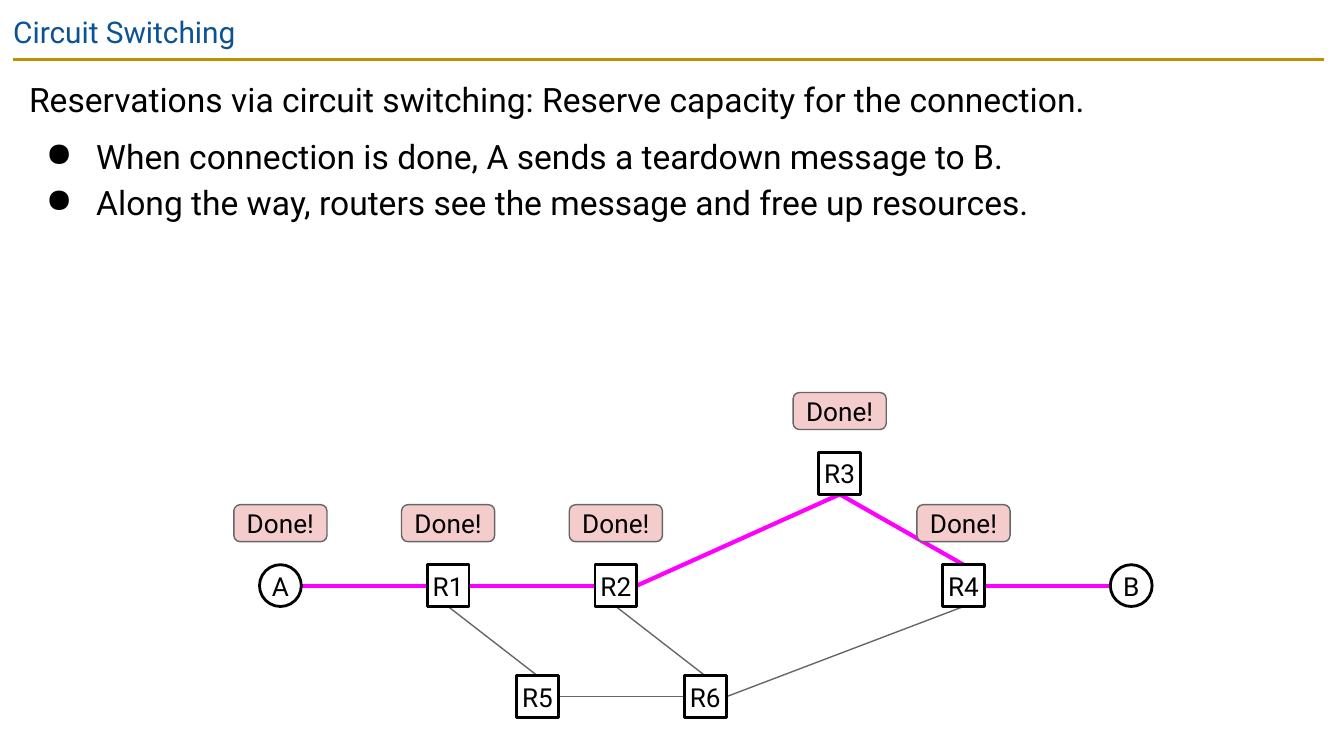
import pptx
import pptx.util
import pptx.dml.color
import pptx.enum.shapes
import pptx.enum.text
import pptx.oxml
import pptx.oxml.ns

Cm, Pt = pptx.util.Cm, pptx.util.Pt
KIND = pptx.enum.shapes.MSO_SHAPE
ALIGN = pptx.enum.text.PP_ALIGN
ANCHOR = pptx.enum.text.MSO_ANCHOR
FIT = pptx.enum.text.MSO_AUTO_SIZE

COLORS = {"title": "0B5394", "rule": "BF9000", "ink": "000000", "link": "666666",
          "path": "FF00FF", "node": "FFFFFF", "note": "F4CCCC"}

# Node centres in cm
ROW, STEP, SIZE = 11.07, 3.17, 0.79
NODES = {"A": (5.3, ROW), "R1": (5.3 + STEP, ROW), "R2": (5.3 + 2 * STEP, ROW),
         "R3": (15.87, 8.95), "R4": (18.21, ROW), "B": (18.21 + STEP, ROW),
         "R5": (10.16, 13.17), "R6": (10.16 + STEP, 13.17)}
SIDES = {"left": (-1, 0), "right": (1, 0), "top": (0, -1), "bottom": (0, 1)}

# Links: start node, its side, end node, its side
PATH = [("A", "right", "R1", "left"), ("R1", "right", "R2", "left"),
        ("R2", "right", "R3", "bottom"), ("R3", "bottom", "R4", "top"),
        ("R4", "right", "B", "left")]
SPARE = [("R5", "right", "R6", "left"), ("R1", "bottom", "R5", "top"),
         ("R2", "bottom", "R6", "top"), ("R4", "bottom", "R6", "right")]

LINES = [("Reservations via circuit switching: Reserve capacity for the connection.", False, 6),
         ("When connection is done, A sends a teardown message to B.", True, 6),
         ("Along the way, routers see the message and free up resources.", True, 0)]


def shade(name):
    return pptx.dml.color.RGBColor.from_string(COLORS[name])


def apply(item, **values):
    for key, value in values.items():
        setattr(item, key, value)


def frame(shape, pad, anchor):
    text = shape.text_frame
    apply(text, word_wrap=True, auto_size=FIT.NONE, vertical_anchor=anchor,
          margin_left=pad, margin_right=pad, margin_top=pad, margin_bottom=pad)
    return text


def write(para, words, size, color="ink", align=ALIGN.LEFT):
    para.alignment = align
    run = para.add_run()
    run.text = words
    apply(run.font, name="Roboto", size=Pt(size))
    run.font.color.rgb = shade(color)


def bullet(para):
    props = para._p.get_or_add_pPr()
    props.set("marL", str(Cm(1.27)))
    props.set("indent", str(-Cm(0.95)))
    space = pptx.oxml.ns.nsdecls("a")
    for part in (f'<a:buClr {space}><a:srgbClr val="{COLORS["ink"]}"/></a:buClr>',
                 f'<a:buChar {space} char="●"/>'):
        props.append(pptx.oxml.parse_xml(part))


def line(slide, start, end, color, width):
    points = [Cm(value) for value in (*start, *end)]
    wire = slide.shapes.add_connector(pptx.enum.shapes.MSO_CONNECTOR.STRAIGHT, *points)
    wire.line.color.rgb = shade(color)
    wire.line.width = Pt(width)
    wire._element.spPr.append(
        pptx.oxml.parse_xml(f'<a:effectLst {pptx.oxml.ns.nsdecls("a")}/>'))


def port(name, side):
    x, y = NODES[name]
    across, down = SIDES[side]
    return x + across * SIZE / 2, y + down * SIZE / 2


def link(slide, ends, color, width):
    first, out, last, into = ends
    line(slide, port(first, out), port(last, into), color, width)


def box(slide, kind, center, size, words, fill, edge, width):
    (x, y), (wide, high) = center, size
    shape = slide.shapes.add_shape(
        kind, Cm(x - wide / 2), Cm(y - high / 2), Cm(wide), Cm(high))
    shape.shadow.inherit = False
    shape.fill.solid()
    shape.fill.fore_color.rgb = shade(fill)
    shape.line.color.rgb = shade(edge)
    shape.line.width = Pt(width)
    text = frame(shape, 0, ANCHOR.MIDDLE)
    write(text.paragraphs[0], words, 14, align=ALIGN.CENTER)
    return shape


def node(slide, name):
    kind = KIND.RECTANGLE if name.startswith("R") else KIND.OVAL
    shape = box(slide, kind, NODES[name], (SIZE, SIZE), name, "node", "ink", 1.5)
    # Slightly see-through fill
    tint = shape._element.spPr.find(".//" + pptx.oxml.ns.qn("a:srgbClr"))
    tint.append(pptx.oxml.parse_xml(
        f'<a:alpha {pptx.oxml.ns.nsdecls("a")} val="70000"/>'))


def note(slide, name):
    x, y = NODES[name]
    shape = box(slide, KIND.ROUNDED_RECTANGLE, (x, y - 1.18), (1.76, 0.7),
                "Done!", "note", "link", 0.75)
    shape.adjustments[0] = 0.17


def head(slide):
    title = slide.shapes.title
    apply(title, left=0, top=0, width=Cm(25.4), height=Cm(1.09))
    text = frame(title, Cm(0.25), ANCHOR.TOP)
    write(text.paragraphs[0], "Circuit Switching", 16, "title")


def body(slide):
    area = slide.shapes.add_textbox(Cm(0.3), Cm(1.12), Cm(24.74), Cm(4.27))
    text = frame(area, Cm(0.25), ANCHOR.TOP)
    for index, (words, dotted, gap) in enumerate(LINES):
        para = text.add_paragraph() if index else text.paragraphs[0]
        apply(para, line_spacing=1.15, space_before=Pt(gap))
        if dotted:
            bullet(para)
        write(para, words, 18)


def main():
    deck = pptx.Presentation()
    apply(deck, slide_width=Cm(25.4), slide_height=Cm(14.29))
    slide = deck.slides.add_slide(deck.slide_layouts[5])

    # Heading and text
    line(slide, (0.25, 1.12), (25.02, 1.12), "rule", 1.5)
    head(slide)
    body(slide)

    # Network links, with the lower routers
    for ends in PATH + SPARE:
        link(slide, ends, "link", 0.75)
    for name in ("R5", "R6"):
        node(slide, name)

    # Teardown messages and the reserved circuit
    for name in ("A", "R1", "R2", "R3"):
        note(slide, name)
    for ends in PATH:
        link(slide, ends, "path", 2.25)
    for name in ("R1", "A", "R2", "R4", "R3", "B"):
        node(slide, name)
    note(slide, "R4")

    deck.save("out.pptx")


if __name__ == "__main__":
    main()
